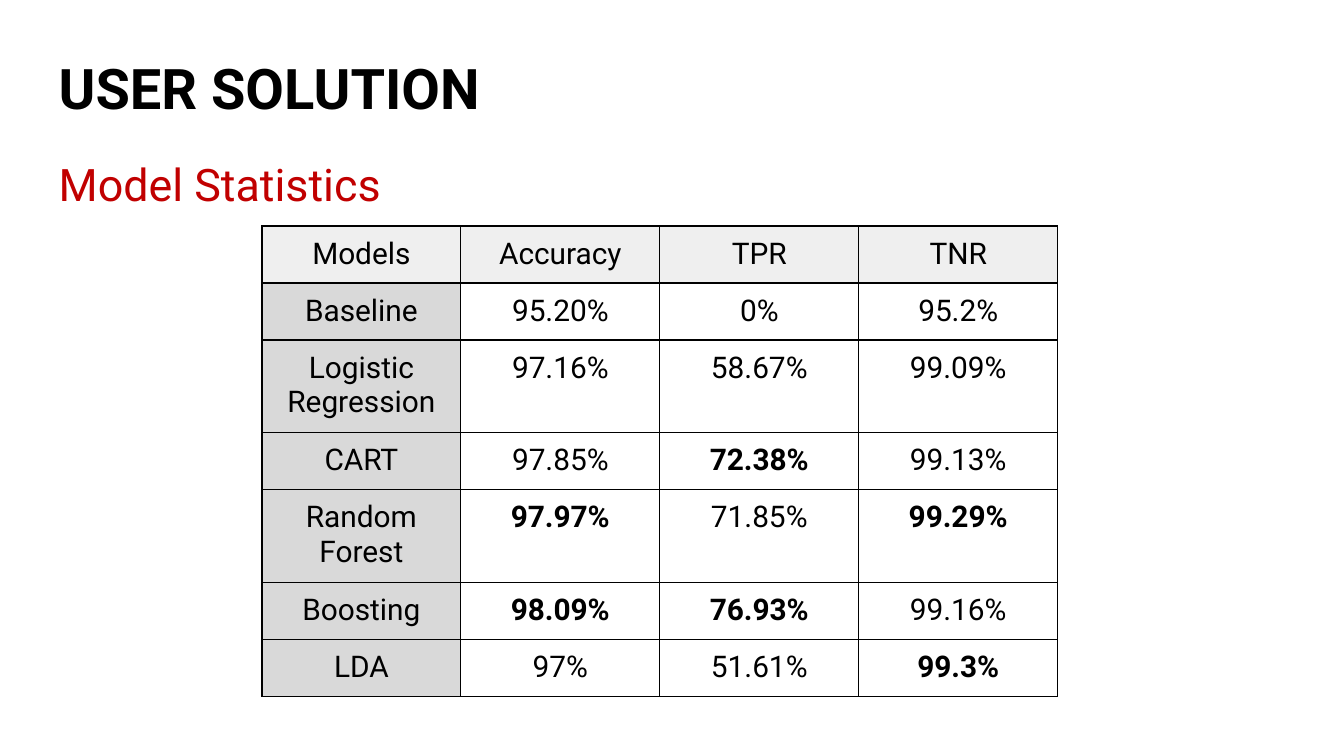
from lxml.etree import SubElement
from pptx import Presentation
from pptx.dml.color import RGBColor
from pptx.enum.text import MSO_ANCHOR, PP_ALIGN
from pptx.oxml.ns import qn
from pptx.util import Cm, Pt

BLACK = RGBColor(0x00, 0x00, 0x00)
RED = RGBColor(0xC1, 0x00, 0x00)
HEADER_GREY = RGBColor(0xEF, 0xEF, 0xEF)
MODEL_GREY = RGBColor(0xD9, 0xD9, 0xD9)
FONT = "Roboto"

STATISTICS = [
    ("Models", "Accuracy", "TPR", "TNR"),
    ("Baseline", "95.20%", "0%", "95.2%"),
    ("Logistic Regression", "97.16%", "58.67%", "99.09%"),
    ("CART", "97.85%", "72.38%", "99.13%"),
    ("Random Forest", "97.97%", "71.85%", "99.29%"),
    ("Boosting", "98.09%", "76.93%", "99.16%"),
    ("LDA", "97%", "51.61%", "99.3%"),
]
BEST_VALUES = {"72.38%", "97.97%", "99.29%", "98.09%", "76.93%", "99.3%"}
COLUMN_WIDTH = Cm(3.76)
ROW_HEIGHT = Cm(1.07)
TWO_LINE_HEIGHT = Cm(1.73)


def write(text_frame, text, size, color=BLACK, bold=False):
    text_frame.text = text
    font = text_frame.paragraphs[0].runs[0].font
    font.name, font.size, font.bold = FONT, Pt(size), bold
    font.color.rgb = color


def add_borders(cell):
    properties = cell._tc.get_or_add_tcPr()
    for side in ("lnL", "lnR", "lnT", "lnB"):
        line = SubElement(properties, qn(f"a:{side}"), w=str(Pt(0.75)))
        fill = SubElement(line, qn("a:solidFill"))
        SubElement(fill, qn("a:srgbClr"), val=str(BLACK))


prs = Presentation()
prs.slide_width, prs.slide_height = Cm(25.4), Cm(14.29)
slide = prs.slides.add_slide(prs.slide_layouts[6])

for text, top, height, size, color, bold, spacing in (
    ("USER SOLUTION", 0.76, 1.6, 30, BLACK, True, 1.0),
    ("Model Statistics", 2.57, 10.59, 24, RED, False, 1.15),
):
    heading = slide.shapes.add_textbox(Cm(0.86), Cm(top), Cm(23.67), Cm(height)).text_frame
    heading.word_wrap = True
    heading.vertical_anchor = MSO_ANCHOR.TOP
    heading.margin_left = heading.margin_right = Cm(0.25)
    heading.margin_top = heading.margin_bottom = Cm(0.25)
    write(heading, text, size, color, bold)
    heading.paragraphs[0].line_spacing = spacing

row_heights = [TWO_LINE_HEIGHT if " " in row[0] else ROW_HEIGHT for row in STATISTICS]
table = slide.shapes.add_table(
    len(STATISTICS), len(STATISTICS[0]), Cm(4.95), Cm(4.27),
    COLUMN_WIDTH * len(STATISTICS[0]), sum(row_heights),
).table
table.first_row = table.horz_banding = False
for column in table.columns:
    column.width = COLUMN_WIDTH

for r, values in enumerate(STATISTICS):
    table.rows[r].height = row_heights[r]
    for c, value in enumerate(values):
        cell = table.cell(r, c)
        cell.margin_left = cell.margin_right = Cm(0.2)
        cell.margin_top = cell.margin_bottom = Cm(0.2)
        write(cell.text_frame, value, 16, bold=value in BEST_VALUES)
        cell.text_frame.paragraphs[0].alignment = PP_ALIGN.CENTER
        add_borders(cell)
        if r == 0 or c == 0:
            cell.fill.solid()
            cell.fill.fore_color.rgb = HEADER_GREY if r == 0 else MODEL_GREY
        else:
            cell.fill.background()

prs.save("out.pptx")
